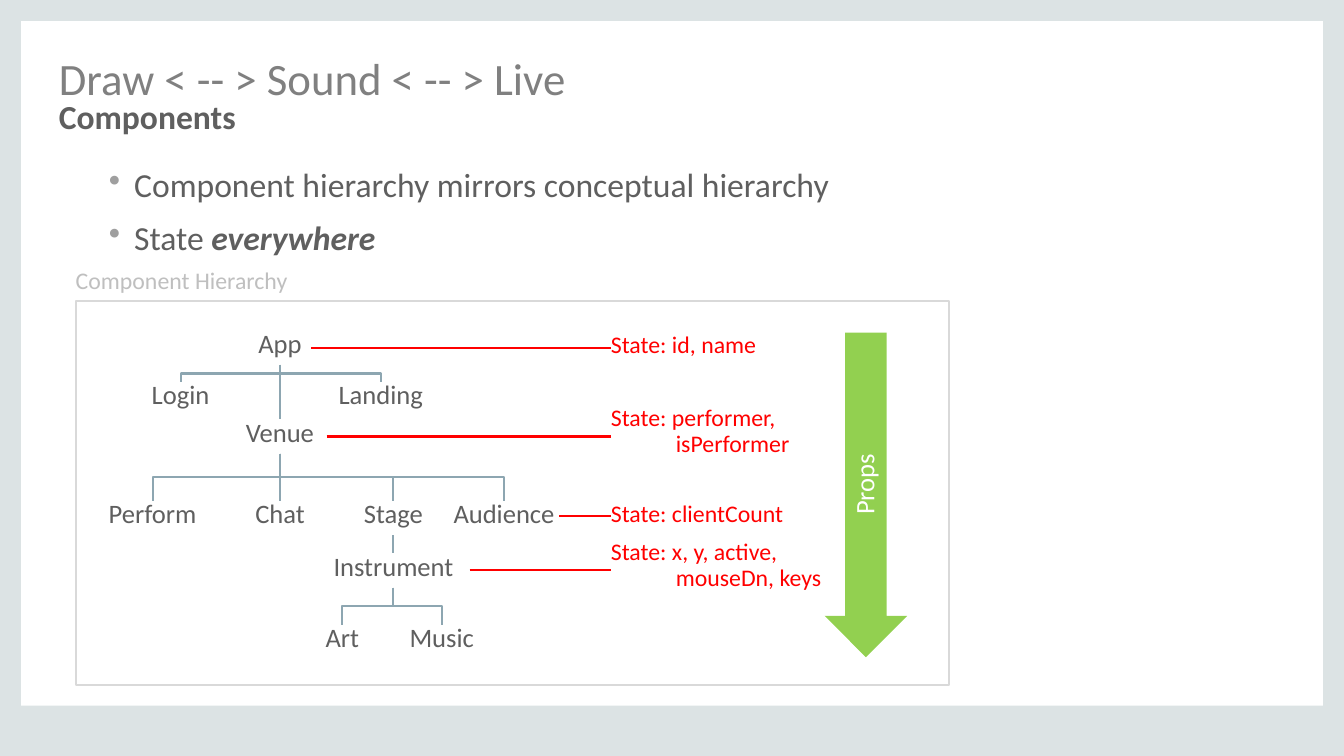
from pptx import Presentation
from pptx.dml.color import RGBColor
from pptx.enum import shapes, text
from pptx.oxml import parse_xml
from pptx.oxml.ns import nsdecls
from pptx.util import Pt

GREY, RED, BRANCH = "5F5F5F", "FF0000", "8DA6B1"


def color(value):
    return RGBColor.from_string(value)


def add_span(para, words, size, hue, bold=False, italic=False):
    span = para.add_run()
    span.text = words
    span.font.name = "Calibri"
    span.font.size = Pt(size)
    span.font.color.rgb = color(hue)
    span.font.bold = bold
    span.font.italic = italic
    para.line_spacing = 0.9


deck = Presentation()
deck.slide_width, deck.slide_height = Pt(960), Pt(540)
page = deck.slides.add_slide(deck.slide_layouts[6])

# Border bars around the page
for left, top, width, height in [(0, 0, 15, 540), (945, 0, 15, 540),
                                 (0, 504, 960, 36), (0, 0, 960, 15)]:
    bar = page.shapes.add_shape(shapes.MSO_SHAPE.RECTANGLE,
                                Pt(left), Pt(top), Pt(width), Pt(height))
    bar.shadow.inherit = False
    bar.fill.solid()
    bar.fill.fore_color.rgb = color("DCE3E4")
    bar.line.fill.background()

# Text boxes: left, top, width, height, side inset, wrap
title, bullets, caption = [
    page.shapes.add_textbox(Pt(left), Pt(top), Pt(width), Pt(height)).text_frame
    for left, top, width, height in [(42, 35.3, 876, 69.8), (77.8, 120.2, 522, 101.5),
                                     (54, 192.2, 179.3, 21.6)]]
for frame in (title, bullets, caption):
    frame.margin_left = frame.margin_right = frame.margin_top = frame.margin_bottom = 0
    frame.word_wrap = True

title.vertical_anchor = text.MSO_ANCHOR.MIDDLE
heading = title.paragraphs[0]
add_span(heading, "Draw < -- > Sound < -- > Live", 32, "808080")
heading.add_line_break()
add_span(heading, "Components", 24, GREY, bold=True)
heading.line_spacing = 0.8

first, second = bullets.paragraphs[0], bullets.add_paragraph()
add_span(first, "Component hierarchy mirrors conceptual hierarchy", 24, GREY)
add_span(second, "State ", 24, GREY)
add_span(second, "everywhere", 24, GREY, bold=True, italic=True)
for para in (first, second):
    para.space_before = Pt(12)
    props = para._p.get_or_add_pPr()
    props.set("marL", str(Pt(18)))
    props.set("indent", str(-Pt(18)))
    props.append(parse_xml(f'<a:buClr {nsdecls("a")}><a:srgbClr val="9F9F9F"/></a:buClr>'))
    props.append(parse_xml(f'<a:buChar {nsdecls("a")} char="•"/>'))

add_span(caption.paragraphs[0], "Component Hierarchy", 17, "BFBFBF")

# Frame and props arrow
outline = page.shapes.add_shape(shapes.MSO_SHAPE.RECTANGLE, Pt(54), Pt(215.3), Pt(624.2), Pt(274.3))
outline.shadow.inherit = False
outline.fill.background()
outline.line.color.rgb = color("D9D9D9")
outline.line.width = Pt(1.5)

arrow = page.shapes.add_shape(shapes.MSO_SHAPE.DOWN_ARROW, Pt(589), Pt(237.6), Pt(59), Pt(231.8))
arrow.shadow.inherit = False
arrow.fill.solid()
arrow.fill.fore_color.rgb = color("92D050")
arrow.line.fill.background()
arrow.text_frame.vertical_anchor = text.MSO_ANCHOR.MIDDLE
arrow.text_frame._txBody.bodyPr.set("vert", "vert270")
arrow.text_frame.paragraphs[0].alignment = text.PP_ALIGN.CENTER
add_span(arrow.text_frame.paragraphs[0], "Props", 19, "FFFFFF")

# Component tree: name -> centre x, top, width, parent
NODE_HEIGHT = 24.5
nodes = {
    "App": (200, 236.2, 45, None),
    "Login": (129, 272.9, 58, "App"),
    "Landing": (272, 272.9, 80, "App"),
    "Venue": (200, 299.5, 66, "App"),
    "Perform": (109, 357.8, 83, "Venue"),
    "Chat": (200, 357.8, 50, "Venue"),
    "Stage": (281, 357.8, 59, "Venue"),
    "Audience": (360, 357.8, 81, "Venue"),
    "Instrument": (281, 395.3, 110, "Stage"),
    "Art": (244.5, 446.4, 37, "Instrument"),
    "Music": (315.5, 446.4, 63, "Instrument"),
}
lines = []
for name, (center, top, width, parent) in nodes.items():
    box = page.shapes.add_textbox(Pt(center - width / 2), Pt(top), Pt(width), Pt(NODE_HEIGHT))
    frame = box.text_frame
    frame.margin_left = frame.margin_right = Pt(3.6)
    frame.margin_top = frame.margin_bottom = 0
    frame.word_wrap = False
    frame.paragraphs[0].alignment = text.PP_ALIGN.CENTER
    add_span(frame.paragraphs[0], name, 19, GREY)
    if parent is None:
        continue
    start_x, start_y = nodes[parent][0], nodes[parent][1] + NODE_HEIGHT
    if start_x == center:
        branch = page.shapes.add_connector(shapes.MSO_CONNECTOR.STRAIGHT,
                                           Pt(start_x), Pt(start_y), Pt(center), Pt(top))
    else:
        # An elbow runs sideways by default, so it is turned to leave downwards
        mid_x, mid_y = (start_x + center) / 2, (start_y + top) / 2
        half_run, half_drop = abs(center - start_x) / 2, (top - start_y) / 2
        side = 1 if center > start_x else -1
        branch = page.shapes.add_connector(
            shapes.MSO_CONNECTOR.ELBOW,
            Pt(mid_x + side * half_drop), Pt(mid_y - half_run),
            Pt(mid_x - side * half_drop), Pt(mid_y + half_run))
        branch._element.spPr.xfrm.set("rot", str((270 if side > 0 else 90) * 60000))
    lines.append((branch, BRANCH))

# State notes: text lines, top, height, line start x, line y
STATE_LEFT = 436.3
notes = [
    (["State: id, name"], 237.6, 21.6, 222.5, 248.4),
    (["State: performer,", "isPerformer"], 290.2, 43.2, 233.3, 311.8),
    (["State: clientCount"], 358.6, 18.7, 399.6, 368.3),
    (["State: x, y, active,", "mouseDn, keys"], 385.9, 43.2, 335.5, 407.2),
]
for words, top, height, start_x, line_y in notes:
    box = page.shapes.add_textbox(Pt(STATE_LEFT), Pt(top), Pt(151), Pt(height))
    frame = box.text_frame
    frame.margin_left = frame.margin_right = frame.margin_top = frame.margin_bottom = 0
    frame.word_wrap = False
    for index, line in enumerate(words):
        para = frame.add_paragraph() if index else frame.paragraphs[0]
        add_span(para, line, 17, RED)
        if index:
            para._p.get_or_add_pPr().set("marL", str(Pt(46.4)))
    pointer = page.shapes.add_connector(shapes.MSO_CONNECTOR.STRAIGHT, Pt(start_x), Pt(line_y),
                                        Pt(STATE_LEFT), Pt(line_y))
    lines.append((pointer, RED))

for connector, hue in lines:
    connector.line.color.rgb = color(hue)
    connector.line.width = Pt(1.5)
    connector._element.spPr.append(parse_xml(f'<a:effectLst {nsdecls("a")}/>'))

deck.save("out.pptx")
